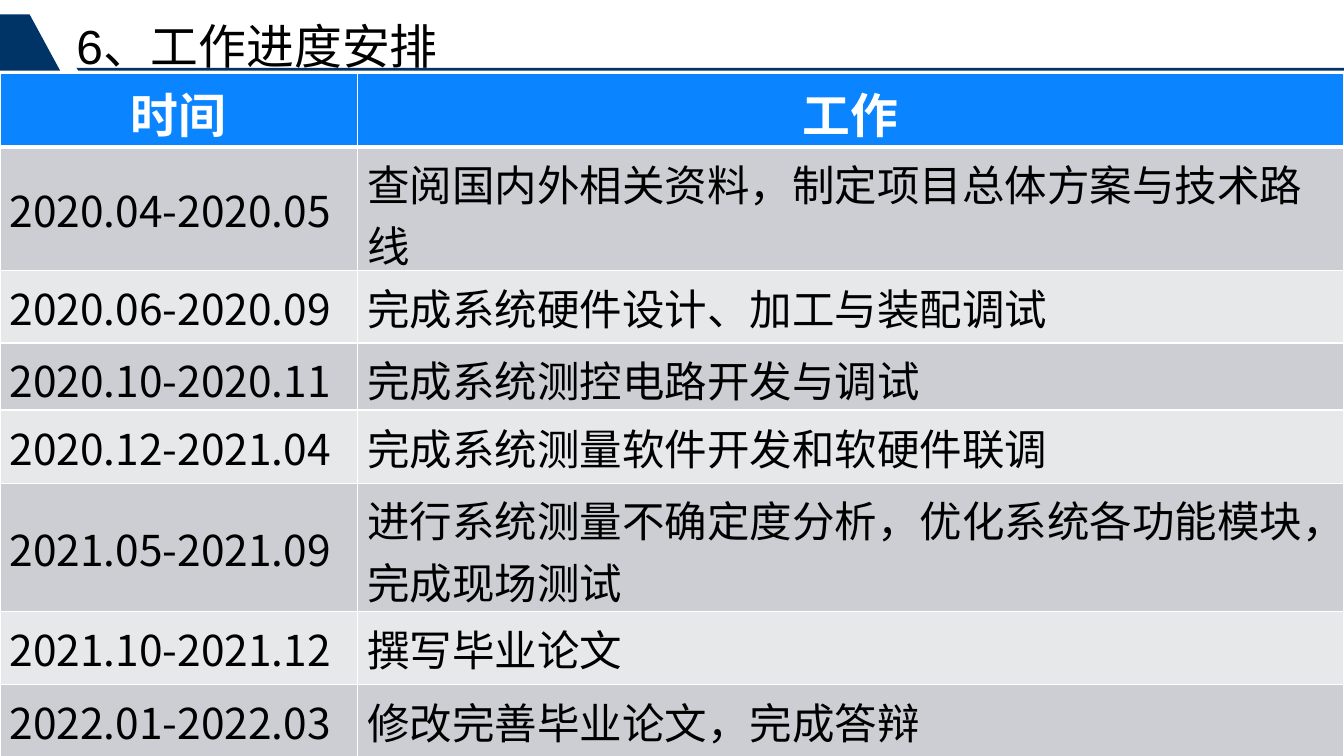
from lxml.etree import SubElement
from pptx import Presentation
from pptx.dml.color import RGBColor
from pptx.enum.text import MSO_ANCHOR, PP_ALIGN
from pptx.oxml.ns import qn
from pptx.util import Inches, Pt

NAVY, BLUE, WHITE, BLACK = "003366", "0A85FF", "FFFFFF", "000000"
BANDS = ("CCCED3", "E7E8EA")
SANS = "Noto Sans CJK SC"
COLUMN_WIDTHS = (3.74, 10.32)
HEADINGS = ("时间", "工作")
HEADING_HEIGHT = 0.77
SCHEDULE = [
    ("2020.04-2020.05", "查阅国内外相关资料，制定项目总体方案与技术路线", SANS, 1.29),
    ("2020.06-2020.09", "完成系统硬件设计、加工与装配调试", SANS, 0.76),
    ("2020.10-2020.11", "完成系统测控电路开发与调试", "Calibri", 0.7),
    ("2020.12-2021.04", "完成系统测量软件开发和软硬件联调", "Calibri", 0.77),
    ("2021.05-2021.09", "进行系统测量不确定度分析，优化系统各功能模块，完成现场测试", SANS, 1.34),
    ("2021.10-2021.12", "撰写毕业论文", SANS, 0.76),
    ("2022.01-2022.03", "修改完善毕业论文，完成答辩", SANS, 0.76),
]


def color(value):
    """Turn a hex string into a colour."""
    return RGBColor.from_string(value)


def add_text(paragraph, text, size, font, fill, bold=False):
    """Add one formatted run to a paragraph."""
    run = paragraph.add_run()
    run.text = text
    run.font.size = Pt(size)
    run.font.name = font
    run.font.bold = bold
    run.font.color.rgb = color(fill)


def add_outline(slide, left, top, points):
    """Draw a navy polygon whose points are relative to left and top."""
    corners = [(Inches(left + x), Inches(top + y)) for x, y in points]
    builder = slide.shapes.build_freeform(*corners[0])
    builder.add_line_segments(corners[1:], close=True)
    outline = builder.convert_to_shape()
    outline.shadow.inherit = False
    outline.fill.solid()
    outline.fill.fore_color.rgb = color(NAVY)
    outline.line.fill.background()


def add_title_bar(slide, left, top, width, height, title):
    """Place the flag, the rule and the title."""
    indent = 0.8
    rule = width - indent
    add_outline(slide, left, top, [(0.31, 0), (0.63, height), (0, height), (0, 0)])
    add_outline(slide, left + indent, top + height - 0.03,
                [(0, 0), (rule, 0), (rule, 0.03), (0.02, 0.03)])
    box = slide.shapes.add_textbox(Inches(left + indent), Inches(top + 0.02),
                                   Inches(3.95), Inches(0.61))
    frame = box.text_frame
    frame.word_wrap = True
    frame.margin_left = frame.margin_right = 0
    frame.margin_top = frame.margin_bottom = 0
    paragraph = frame.paragraphs[0]
    paragraph.space_after = Pt(6)
    add_text(paragraph, title, 36, "Arial", BLACK)


def style_cell(cell, fill, top=1, bottom=1):
    """Fill a cell and give it white borders."""
    properties = cell._tc.get_or_add_tcPr()
    for side, weight in (("L", 1), ("R", 1), ("T", top), ("B", bottom)):
        border = SubElement(properties, qn(f"a:ln{side}"), w=str(Pt(weight)))
        solid = SubElement(border, qn("a:solidFill"))
        SubElement(solid, qn("a:srgbClr"), val=WHITE)
    cell.fill.solid()
    cell.fill.fore_color.rgb = color(fill)


def add_schedule(slide, left, top, width, height):
    """Place the table of periods and tasks."""
    table = slide.shapes.add_table(len(SCHEDULE) + 1, len(HEADINGS), Inches(left),
                                   Inches(top), Inches(width), Inches(height)).table
    for column, share in zip(table.columns, COLUMN_WIDTHS):
        column.width = Inches(share)
    table.rows[0].height = Inches(HEADING_HEIGHT)
    for index, heading in enumerate(HEADINGS):
        cell = table.cell(0, index)
        style_cell(cell, BLUE, bottom=3)
        paragraph = cell.text_frame.paragraphs[0]
        paragraph.alignment = PP_ALIGN.CENTER
        add_text(paragraph, heading, 36, "Calibri", WHITE, bold=True)
    for row, (period, task, task_font, row_height) in enumerate(SCHEDULE, 1):
        table.rows[row].height = Inches(row_height)
        for index, (text, font) in enumerate(((period, SANS), (task, task_font))):
            cell = table.cell(row, index)
            style_cell(cell, BANDS[(row - 1) % 2], top=3 if row == 1 else 1)
            cell.vertical_anchor = MSO_ANCHOR.MIDDLE
            add_text(cell.text_frame.paragraphs[0], text, 32, font, BLACK)


def main():
    """Build and save the slide."""
    presentation = Presentation()
    presentation.slide_width = Inches(14.06)
    presentation.slide_height = Inches(7.91)
    slide = presentation.slides.add_slide(presentation.slide_layouts[6])
    add_title_bar(slide, 0, 0.15, 14.06, 0.59, "6、工作进度安排")
    add_schedule(slide, 0, 0.77, 14.06, 7.14)
    presentation.save("out.pptx")


if __name__ == "__main__":
    main()
